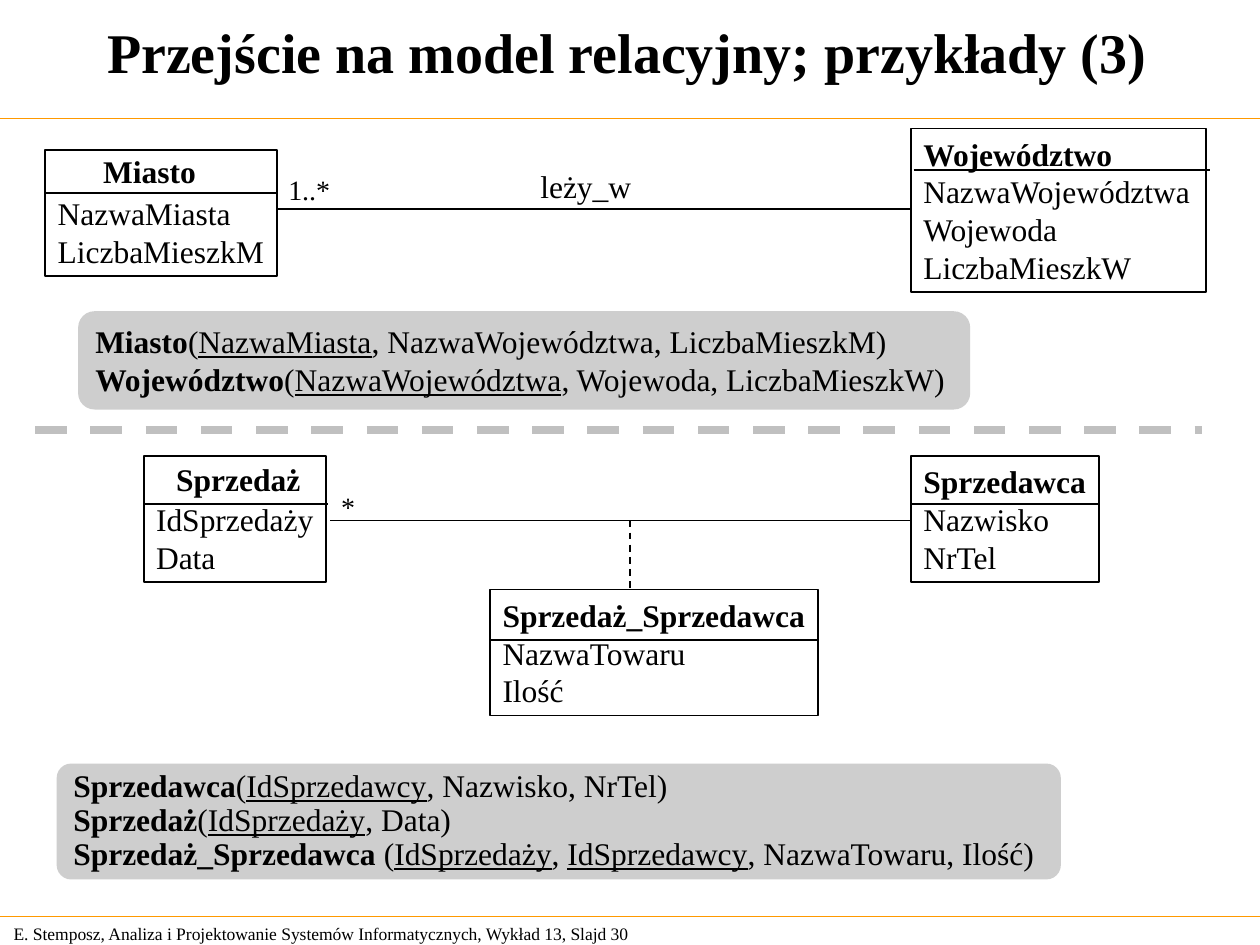
import pptx
import pptx.dml.color
import pptx.enum.dml
import pptx.enum.shapes
import pptx.enum.text
import pptx.util
from lxml import etree

# Grid: 100 columns by 75 rows over a 10 x 7.5 inch slide
COLUMNS, ROWS = 100, 75
CELL = pptx.util.Inches(10) // COLUMNS
FONT = "Times New Roman"
COLORS = {"ink": "000000", "accent": "FF9900", "panel": "CECECE", "divider": "C0C0C0"}
SHAPE = pptx.enum.shapes.MSO_SHAPE
ANCHOR = pptx.enum.text.MSO_ANCHOR
ALIGN = pptx.enum.text.PP_ALIGN


def cells(*lengths):
    return [pptx.util.Emu(round(length * CELL)) for length in lengths]


def rgb(name):
    return pptx.dml.color.RGBColor.from_string(COLORS[name])


def write(frame, lines, size=18, anchor=ANCHOR.TOP, align=ALIGN.LEFT,
          spacing=None, wrap=False):
    """Each line is a list of (words, style); style holds b (bold) or u (underline)."""
    frame.word_wrap = wrap
    frame.vertical_anchor = anchor
    for index, line in enumerate(lines):
        paragraph = frame.add_paragraph() if index else frame.paragraphs[0]
        paragraph.alignment = align
        paragraph.line_spacing = spacing
        font = paragraph.font
        font.name, font.size = FONT, pptx.util.Pt(size)
        font.color.rgb = rgb("ink")
        for words, style in line:
            run = paragraph.add_run()
            run.text = words
            run.font.name, run.font.size = FONT, pptx.util.Pt(size)
            run.font.color.rgb = rgb("ink")
            run.font.bold = "b" in style
            run.font.underline = "u" in style


def label(slide, box, words, style="", **options):
    caption = slide.shapes.add_textbox(*cells(*box))
    write(caption.text_frame, [[(words, style)]], **options)


def rule(slide, start, end, color="ink", width=1, dashed=False):
    line = slide.shapes.add_connector(
        pptx.enum.shapes.MSO_CONNECTOR.STRAIGHT, *cells(*start, *end))
    line.line.color.rgb = rgb(color)
    line.line.width = pptx.util.Pt(width)
    if dashed:
        line.line.dash_style = pptx.enum.dml.MSO_LINE.DASH
    etree.SubElement(line._element.spPr, pptx.oxml.ns.qn("a:effectLst"))


def class_box(slide, box, name, attributes, rule_y, rule_shift=0, name_box=None):
    """A class with its name inside, or in name_box, an offset and size of its own."""
    left, top, width, height = box
    frame = slide.shapes.add_shape(SHAPE.RECTANGLE, *cells(*box))
    frame.shadow.inherit = False
    frame.fill.background()
    frame.line.color.rgb = rgb("ink")
    frame.line.width = pptx.util.Pt(1)
    lines = [[(attribute, "")] for attribute in attributes]
    if name_box:
        dx, dy, name_width, name_height = name_box
        label(slide, (left + dx, top + dy, name_width, name_height), name, "b")
        write(frame.text_frame, lines, anchor=ANCHOR.BOTTOM)
    else:
        write(frame.text_frame, [[(name, "b")]] + lines)
    start = left + rule_shift
    rule(slide, (start, top + rule_y), (start + width + 0.1, top + rule_y))


def relation(name, keys, rest):
    line = [(name, "b"), ("(", "")]
    for index, key in enumerate(keys):
        line += [(", ", "")] * bool(index) + [(key, "u")]
    return line + [(f", {rest})", "")]


def schema_panel(slide, box, corner, relations, **options):
    panel = slide.shapes.add_shape(SHAPE.ROUNDED_RECTANGLE, *cells(*box))
    panel.shadow.inherit = False
    panel.adjustments[0] = corner
    panel.fill.solid()
    panel.fill.fore_color.rgb = rgb("panel")
    panel.line.fill.background()
    write(panel.text_frame, [relation(*parts) for parts in relations], **options)


def header(slide, box):
    left, top, width, height = box
    label(slide, (left, top - 0.2, width - 0.4, height - 0.9),
          "Przejście na model relacyjny; przykłady (3)", "b", size=32,
          anchor=ANCHOR.MIDDLE, align=ALIGN.CENTER, wrap=True)
    rule(slide, (left, top + height), (left + width, top + height), "accent", 0.75)


def footer(slide, box):
    left, top, width, height = box
    rule(slide, (left, top), (left + width, top), "accent", 0.75)
    label(slide, (left + 0.1, top, 52.4, 2.7),
          "E. Stemposz, Analiza i Projektowanie Systemów Informatycznych, "
          "Wykład 13, Slajd 30", size=10, anchor=ANCHOR.MIDDLE)


def city_example(slide, box):
    left, top, width, height = box
    # Classes
    class_box(slide, (left, top + 1.7, 18.4, 10), "Miasto",
              ["NazwaMiasta", "LiczbaMieszkM"], 3.4, name_box=(3.6, -0.3, 9.9, 4))
    class_box(slide, (left + width - 23.4, top, 23.4, 13), "Województwo",
              ["NazwaWojewództwa", "Wojewoda", "LiczbaMieszkW"], 3.3, rule_shift=0.2)
    # Association
    rule(slide, (left + 18.4, top + 6.4), (left + width - 23.4, top + 6.4))
    label(slide, (left + 38.3, top + 2.6, 9.2, 4), "leży_w")
    label(slide, (left + 18.3, top + 3, 5.3, 3.7), "1..*", size=16)
    # Relations
    schema_panel(slide, (left + 2.6, top + 14.5, 70.8, 7.8), 0.167, [
        ("Miasto", ["NazwaMiasta"], "NazwaWojewództwa, LiczbaMieszkM"),
        ("Województwo", ["NazwaWojewództwa"], "Wojewoda, LiczbaMieszkW"),
    ])


def sales_example(slide, box):
    left, top, width, height = box
    link_y, middle = top + 5.1, COLUMNS / 2
    # Classes
    class_box(slide, (left + 6.9, top, 14.5, 10), "Sprzedaż",
              ["IdSprzedaży", "Data"], 3.8, name_box=(1.6, -0.2, 12.5, 4))
    class_box(slide, (left + 67.8, top, 14.9, 10), "Sprzedawca",
              ["Nazwisko", "NrTel"], 3.8)
    class_box(slide, (left + 34.4, top + 10.6, 26, 10), "Sprzedaż_Sprzedawca",
              ["NazwaTowaru", "Ilość"], 4)
    # Association and its class
    rule(slide, (left + 21.7, link_y), (left + 67.8, link_y))
    rule(slide, (middle, link_y), (middle, top + 10.6), dashed=True)
    label(slide, (left + 21.6, top + 2.2, 3.1, 3.7), "*", size=16)
    # Relations
    schema_panel(slide, (left, top + height - 9.2, 79.7, 9.2), 0.125, [
        ("Sprzedawca", ["IdSprzedawcy"], "Nazwisko, NrTel"),
        ("Sprzedaż", ["IdSprzedaży"], "Data"),
        ("Sprzedaż_Sprzedawca ", ["IdSprzedaży", "IdSprzedawcy"],
         "NazwaTowaru, Ilość"),
    ], anchor=ANCHOR.MIDDLE, spacing=0.9)


def main():
    deck = pptx.Presentation()
    deck.slide_width, deck.slide_height = cells(COLUMNS, ROWS)
    slide = deck.slides.add_slide(deck.slide_layouts[6])
    header(slide, (0, 0, COLUMNS, 9.4))
    city_example(slide, (3.6, 10.2, 92.1, 22.3))
    rule(slide, (2.8, 34.1), (95.4, 34.1), "divider", 4.5, dashed=True)
    sales_example(slide, (4.5, 36.2, 82.7, 33.6))
    footer(slide, (0, 72.75, COLUMNS, 2.25))
    deck.save("out.pptx")


if __name__ == "__main__":
    main()
